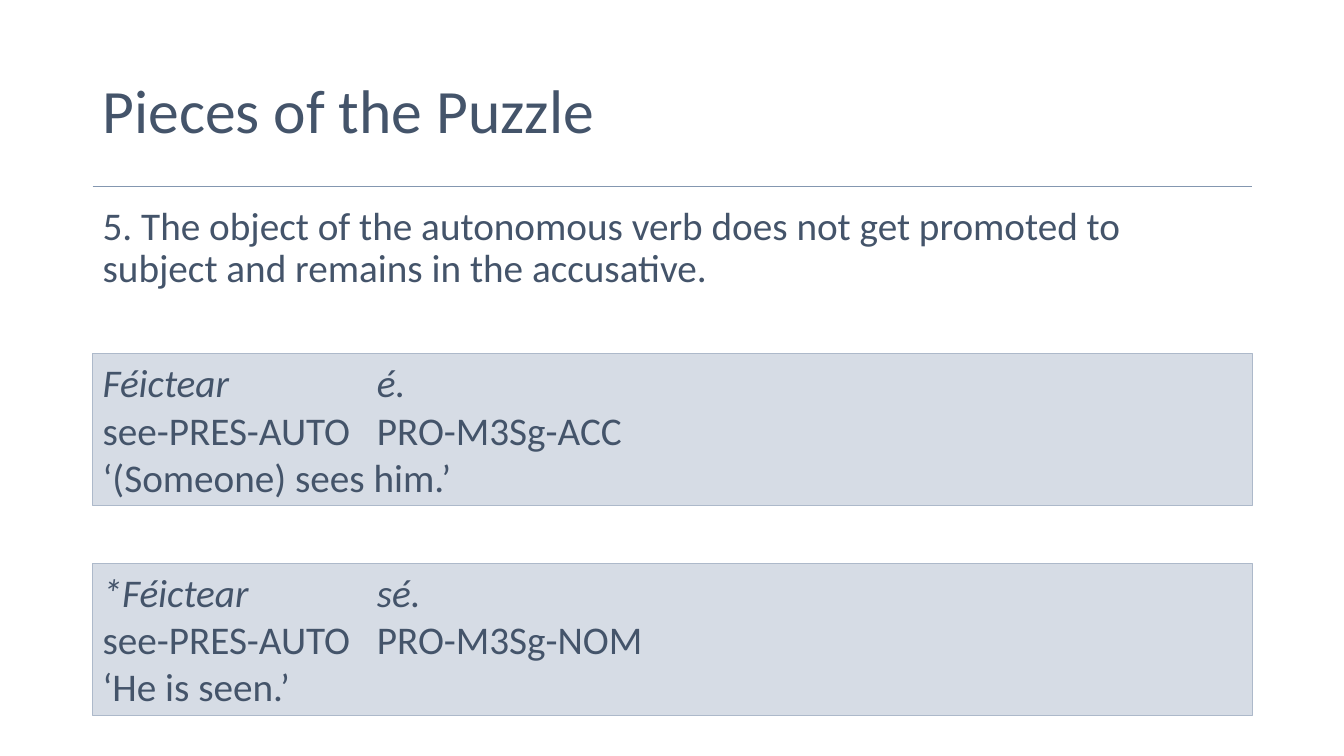
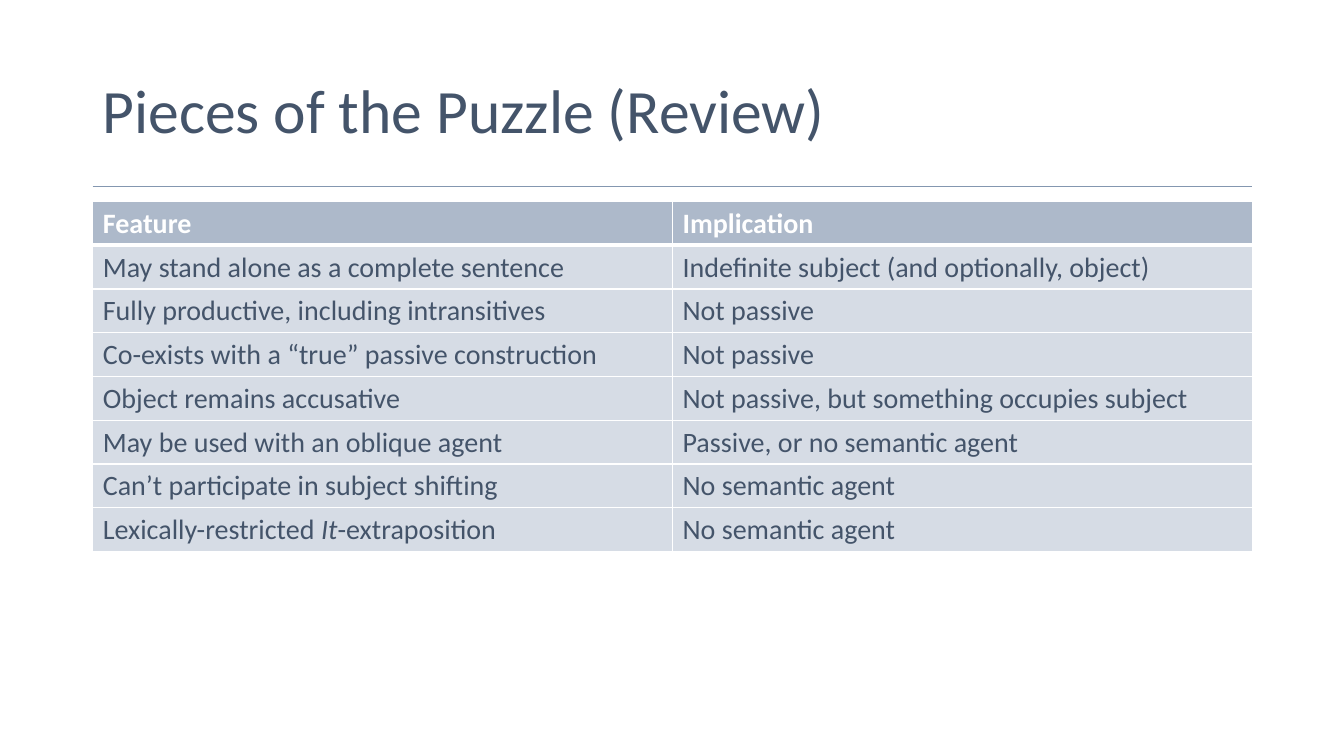
from lxml import etree
from pptx import Presentation
from pptx.dml.color import RGBColor
from pptx.enum.shapes import MSO_CONNECTOR, MSO_SHAPE
from pptx.enum.text import MSO_ANCHOR, MSO_AUTO_SIZE, PP_ALIGN
from pptx.oxml.ns import qn
from pptx.util import Inches, Pt

STRAIGHT = MSO_CONNECTOR.STRAIGHT
RECTANGLE = MSO_SHAPE.RECTANGLE
TOP, MIDDLE = MSO_ANCHOR.TOP, MSO_ANCHOR.MIDDLE
FIT_SHAPE = MSO_AUTO_SIZE.SHAPE_TO_FIT_TEXT
LEFT_ALIGN = PP_ALIGN.LEFT

FONT = "Calibri"
INK, WHITE = "44546A", "FFFFFF"
RULE, ACCENT, PALE = "8497B0", "ADB9CA", "D6DCE5"

LEFT, WIDTH = 0.92, 11.5
TITLE_TOP, RULE_Y, BODY_TOP = 0.4, 1.85, 2
TITLE_SIZE, BODY_SIZE, TABLE_SIZE = 44, 28, 20
GLOSS_HEIGHT, GLOSS_TAB = 1.51, 2.72
ROW_HEIGHT = 0.43

POINT = "5. The object of the autonomous verb does not get promoted to subject and remains in the accusative."
# Each example: top, then lines of (text, italic)
EXAMPLES = [
    (3.51, [("Féictear\té.", True),
            ("see-PRES-AUTO\tPRO-M3Sg-ACC", False),
            ("‘(Someone) sees him.’", False)]),
    (5.59, [("*Féictear\tsé.", True),
            ("see-PRES-AUTO\tPRO-M3Sg-NOM", False),
            ("‘He is seen.’", False)]),
]
# A cell is a list of runs; every second run is italic
FEATURES = [
    (["Feature"], ["Implication"]),
    (["May stand alone as a complete sentence"], ["Indefinite subject (and optionally, object)"]),
    (["Fully productive, including intransitives"], ["Not passive"]),
    (["Co-exists with a “true” passive construction"], ["Not passive"]),
    (["Object remains accusative"], ["Not passive, but something occupies subject"]),
    (["May be used with an oblique agent"], ["Passive, or no semantic agent"]),
    (["Can’t participate in subject shifting"], ["No semantic agent"]),
    (["Lexically-restricted ", "It", "-extraposition"], ["No semantic agent"]),
]


def rgb(value):
    return RGBColor.from_string(value)


def add_run(paragraph, text, size, color=INK, bold=False, italic=False):
    run = paragraph.add_run()
    run.text = text
    font = run.font
    font.name, font.size = FONT, Pt(size)
    font.bold, font.italic = bold, italic
    font.color.rgb = rgb(color)


def add_text(slide, text, top, height, size, anchor=TOP, space_before=0):
    box = slide.shapes.add_textbox(Inches(LEFT), Inches(top), Inches(WIDTH), Inches(height))
    frame = box.text_frame
    frame.word_wrap = True
    frame.vertical_anchor = anchor
    paragraph = frame.paragraphs[0]
    paragraph.line_spacing = 0.9
    paragraph.space_before = Pt(space_before)
    add_run(paragraph, text, size)


def add_titled_slide(deck, title):
    """Add a blank-layout slide with the shared rule and title."""
    slide = deck.slides.add_slide(deck.slide_layouts[6])
    rule = slide.shapes.add_connector(
        STRAIGHT, Inches(LEFT), Inches(RULE_Y), Inches(LEFT + WIDTH), Inches(RULE_Y))
    rule.line.color.rgb = rgb(RULE)
    rule.line.width = Pt(1)
    etree.SubElement(rule.line._get_or_add_ln().getparent(), qn("a:effectLst"))
    add_text(slide, title, TITLE_TOP, RULE_Y - TITLE_TOP, TITLE_SIZE, MIDDLE)
    return slide


def set_tab(paragraph, position):
    tabs = etree.SubElement(paragraph._p.get_or_add_pPr(), qn("a:tabLst"))
    etree.SubElement(tabs, qn("a:tab"), pos=str(Inches(position)), algn="l")


def add_gloss(slide, top, lines):
    """Add a shaded box with an interlinear example, its words aligned by a tab."""
    box = slide.shapes.add_shape(
        RECTANGLE, Inches(LEFT), Inches(top), Inches(WIDTH), Inches(GLOSS_HEIGHT))
    box.shadow.inherit = False
    box.fill.solid()
    box.fill.fore_color.rgb = rgb(PALE)
    box.line.color.rgb = rgb(ACCENT)
    box.line.width = Pt(0.75)
    frame = box.text_frame
    frame.word_wrap = True
    frame.auto_size = FIT_SHAPE
    frame.vertical_anchor = TOP
    for index, (text, italic) in enumerate(lines):
        paragraph = frame.add_paragraph() if index else frame.paragraphs[0]
        paragraph.alignment = LEFT_ALIGN
        set_tab(paragraph, GLOSS_TAB)
        add_run(paragraph, text, BODY_SIZE, italic=italic)


def set_borders(cell, top, bottom):
    """Give the cell white borders; top and bottom are widths in points."""
    properties = cell._tc.get_or_add_tcPr()
    widths = {"lnL": 1, "lnR": 1, "lnT": top, "lnB": bottom}
    for index, (side, width) in enumerate(widths.items()):
        line = etree.Element(qn(f"a:{side}"), w=str(Pt(width)))
        fill = etree.SubElement(line, qn("a:solidFill"))
        etree.SubElement(fill, qn("a:srgbClr"), val=WHITE)
        properties.insert(index, line)


def add_feature_table(slide, rows):
    columns = len(rows[0])
    table = slide.shapes.add_table(
        len(rows), columns, Inches(LEFT), Inches(BODY_TOP),
        Inches(WIDTH), Inches(ROW_HEIGHT * len(rows))).table
    for column in table.columns:
        column.width = Inches(WIDTH / columns)
    for row_index, row in enumerate(rows):
        header = row_index == 0
        for column_index, parts in enumerate(row):
            cell = table.cell(row_index, column_index)
            cell.fill.solid()
            cell.fill.fore_color.rgb = rgb(ACCENT if header else PALE)
            set_borders(cell, top=3 if row_index == 1 else 1, bottom=3 if header else 1)
            for part_index, text in enumerate(parts):
                add_run(cell.text_frame.paragraphs[0], text, TABLE_SIZE,
                        WHITE if header else INK, bold=header, italic=part_index % 2 == 1)


def main():
    deck = Presentation()
    deck.slide_width, deck.slide_height = Inches(13.33), Inches(7.5)

    puzzle = add_titled_slide(deck, "Pieces of the Puzzle")
    add_text(puzzle, POINT, BODY_TOP, 0.96, BODY_SIZE, space_before=10)
    for top, lines in EXAMPLES:
        add_gloss(puzzle, top, lines)

    review = add_titled_slide(deck, "Pieces of the Puzzle (Review)")
    add_feature_table(review, FEATURES)

    deck.save("out.pptx")


if __name__ == "__main__":
    main()
